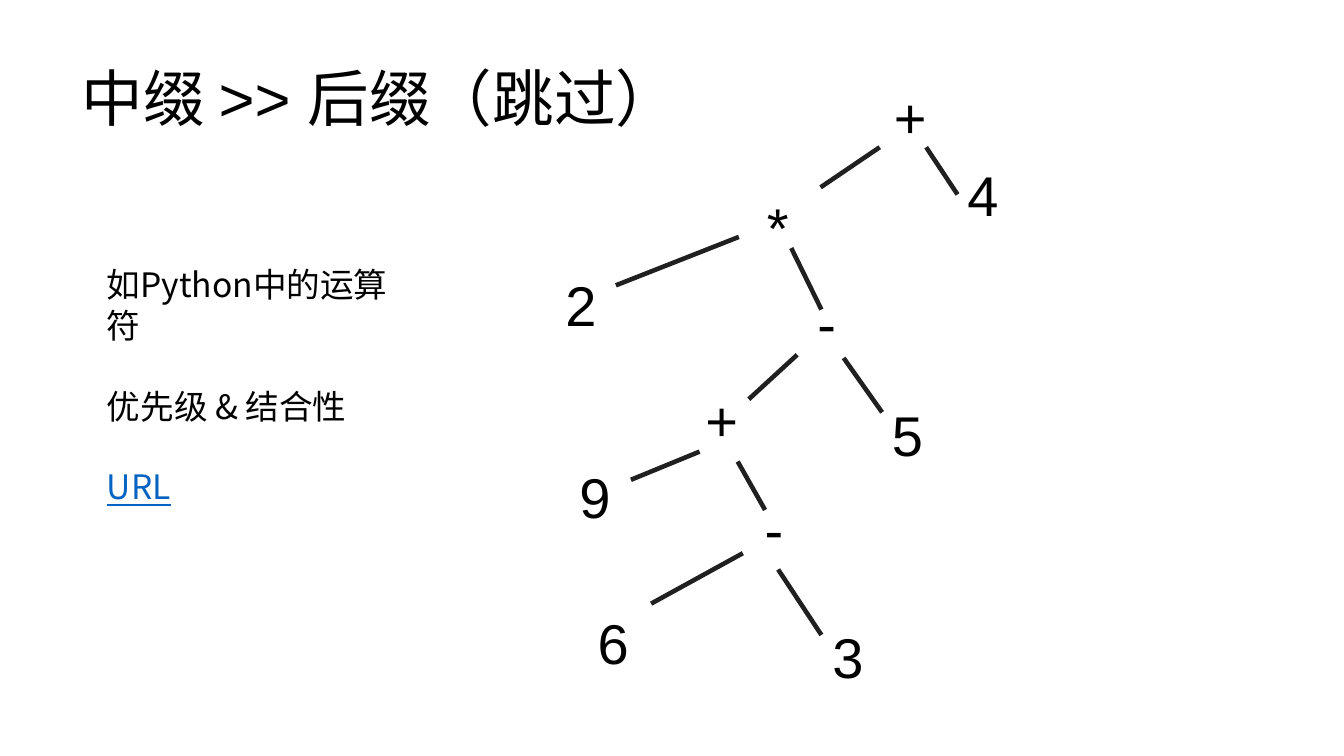
"""Build a slide that shows an infix expression as a tree."""
from dataclasses import dataclass

from lxml.etree import SubElement
from pptx import Presentation
from pptx.dml.color import RGBColor
from pptx.enum.shapes import MSO_CONNECTOR
from pptx.enum.text import MSO_ANCHOR, MSO_AUTO_SIZE, PP_ALIGN
from pptx.oxml.ns import qn
from pptx.slide import Slide
from pptx.text.text import TextFrame
from pptx.util import Cm, Pt

BLACK = RGBColor(0x00, 0x00, 0x00)
DARK = RGBColor(0x20, 0x20, 0x20)
BLUE = RGBColor(0x05, 0x63, 0xC1)
LATIN = "Arial"
HAN = "Noto Sans CJK SC"


@dataclass(frozen=True)
class Node:
    """A symbol of the tree and its box, in centimetres."""
    text: str
    left: float
    top: float
    width: float = 3.2


@dataclass(frozen=True)
class Edge:
    """A branch from an upper to a lower point, in centimetres."""
    x1: float
    y1: float
    x2: float
    y2: float


NODES = [
    Node("+", 22.28, 1.96, 1.27),
    Node("4", 24.13, 3.91),
    Node("*", 19.08, 4.72),
    Node("-", 20.35, 7.14),
    Node("5", 22.23, 9.96),
    Node("+", 17.53, 9.58),
    Node("9", 14.35, 11.53),
    Node("2", 14, 6.68),
    Node("-", 19.02, 12.34),
    Node("6", 14.81, 15.21),
    Node("3", 20.73, 15.57),
]
EDGES = [
    Edge(22.17, 3.71, 20.68, 4.72),
    Edge(23.34, 3.71, 24.13, 4.9),
    Edge(18.62, 5.97, 15.52, 7.19),
    Edge(19.94, 6.25, 20.7, 7.8),
    Edge(20.09, 8.94, 18.87, 10.06),
    Edge(21.26, 9.02, 22.23, 10.39),
    Edge(17.63, 11.38, 15.9, 12.09),
    Edge(18.59, 11.63, 19.28, 12.85),
    Edge(18.72, 13.94, 16.41, 15.21),
    Edge(19.61, 14.35, 20.7, 16),
]


def write(frame: TextFrame, text: str, *, size: float, font: str = LATIN,
          color: RGBColor = BLACK, under: bool = False, gap: float = 0,
          lines: float = 1, more: bool = False) -> None:
    """Write one plain paragraph, after the others if more is set."""
    para = frame.add_paragraph() if more else frame.paragraphs[0]
    para.alignment = PP_ALIGN.LEFT
    para.line_spacing = lines
    para.space_before = Pt(gap)
    props = para._p.get_or_add_pPr()
    props.set("marL", "0")
    props.set("indent", "0")
    SubElement(props, qn("a:buNone"))
    run = para.add_run()
    run.text = text
    run.font.size = Pt(size)
    run.font.name = font
    run.font.color.rgb = color
    if under:
        run.font.underline = True
    SubElement(run._r.get_or_add_rPr(), qn("a:ea"), typeface=HAN)


def fit(shape, left: float, top: float, width: float, height: float,
        anchor: MSO_ANCHOR) -> TextFrame:
    """Move a placeholder and return its text frame."""
    shape.left, shape.top = Cm(left), Cm(top)
    shape.width, shape.height = Cm(width), Cm(height)
    frame = shape.text_frame
    frame.word_wrap = True
    frame.auto_size = MSO_AUTO_SIZE.NONE
    frame.vertical_anchor = anchor
    return frame


def draw_node(slide: Slide, node: Node) -> None:
    """Draw one symbol of the tree."""
    box = slide.shapes.add_textbox(
        Cm(node.left), Cm(node.top), Cm(node.width), Cm(1.96))
    box.text_frame.word_wrap = True
    write(box.text_frame, node.text, size=40)


def draw_edge(slide: Slide, edge: Edge) -> None:
    """Draw one branch of the tree."""
    line = slide.shapes.add_connector(
        MSO_CONNECTOR.STRAIGHT,
        Cm(edge.x1), Cm(edge.y1), Cm(edge.x2), Cm(edge.y2))
    line.line.color.rgb = DARK
    line.line.width = Pt(3.25)
    SubElement(line._element.spPr, qn("a:effectLst"))


def main() -> None:
    """Build and save the slide."""
    deck = Presentation()
    deck.slide_width, deck.slide_height = Cm(33.87), Cm(19.05)
    slide = deck.slides.add_slide(deck.slide_layouts[1])

    title = fit(slide.shapes.title, 1.8, 0.71, 29.21, 3.68, MSO_ANCHOR.MIDDLE)
    write(title, "中缀 >> 后缀（跳过）", size=44, lines=0.9)

    for node in NODES:
        draw_node(slide, node)
    for edge in EDGES:
        draw_edge(slide, edge)

    body = fit(slide.placeholders[1], 2.44, 6.53, 8.41, 5.38, MSO_ANCHOR.TOP)
    write(body, "如Python中的运算符", size=24, font=HAN)
    write(body, "优先级 & 结合性", size=24, font=HAN, gap=29, more=True)
    write(body, "URL", size=24, font=HAN, color=BLUE, under=True, gap=29,
          more=True)

    deck.save("out.pptx")


if __name__ == "__main__":
    main()
